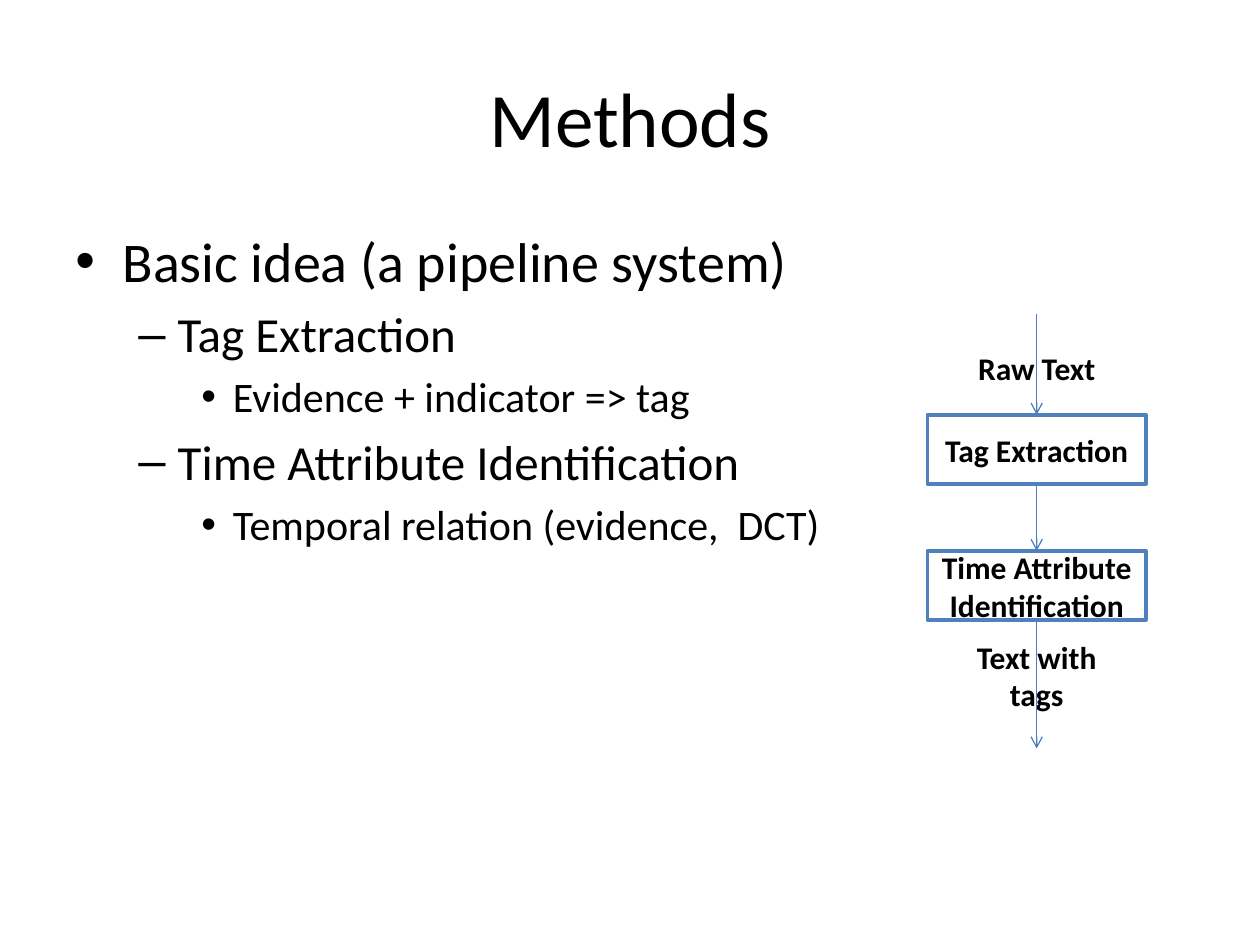
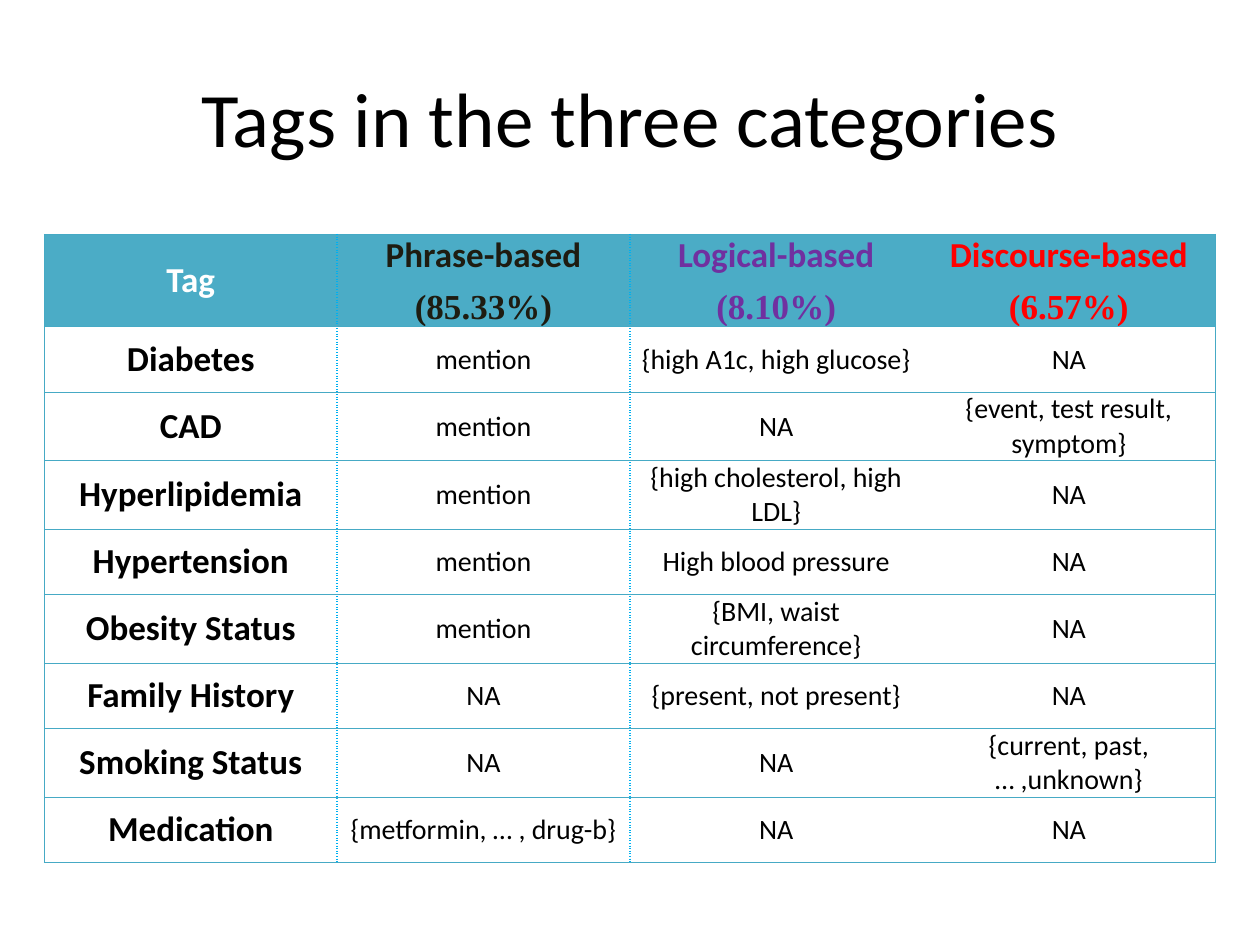
from dataclasses import dataclass
from lxml import etree
from pptx import Presentation
from pptx.dml.color import RGBColor
from pptx.enum import shapes, text
from pptx.oxml import ns
from pptx.util import Pt


@dataclass(frozen=True)
class Theme:
    font: str = "Calibri"
    serif: str = "Times New Roman"
    ink: str = "000000"
    paper: str = "FFFFFF"
    frame: str = "4F81BD"
    arrow: str = "4B7EBC"
    head: str = "4BACC6"
    rule: str = "46AAC5"
    dots: str = "00B0F0"
    phrase: str = "1E1C11"
    logic: str = "7030A0"
    speech: str = "FF0000"
    title: int = 44
    levels: tuple = (32, 28, 24)
    label: int = 18
    tag: int = 20
    cell: int = 16


T = Theme()
MID = text.PP_ALIGN.CENTER
NO_STYLE = "{2D5ABB26-0587-4C30-8999-92F81FD0307C}"

IDEAS = [
    (0, "Basic idea (a pipeline system)"),
    (1, "Tag Extraction"),
    (2, "Evidence + indicator => tag"),
    (1, "Time Attribute Identification"),
    (2, "Temporal relation (evidence,  DCT)"),
]
# Marker, text indent and hanging indent for each outline level
BULLETS = [("•", 27, 27), ("–", 58.5, 22.5), ("•", 90, 18)]

HEADS = [
    ("Tag", None, T.paper),
    ("Phrase-based", "(85.33%)", T.phrase),
    ("Logical-based", "(8.10%)", T.logic),
    ("Discourse-based", "(6.57%)", T.speech),
]
TAGS = [
    ("Diabetes", "mention", "{high A1c, high glucose}", "NA"),
    ("CAD", "mention", "NA", "{event, test result, symptom}"),
    ("Hyperlipidemia", "mention", "{high cholesterol, high LDL}", "NA"),
    ("Hypertension", "mention", "High blood pressure", "NA"),
    ("Obesity Status", "mention", "{BMI, waist circumference}", "NA"),
    ("Family History", "NA", "{present, not present}", "NA"),
    ("Smoking Status", "NA", "NA", "{current, past, … ,unknown}"),
    ("Medication", "{metformin, … , drug-b}", "NA", "NA"),
]


def rgb(color):
    return RGBColor.from_string(color)


def pts(*nums):
    return [Pt(n) for n in nums]


def node(parent, tag, **attrs):
    return etree.SubElement(parent, ns.qn(tag), attrs)


def write(para, words, size, color=T.ink, bold=False, font=T.font):
    run = para.add_run()
    run.text = words
    run.font.size, run.font.bold, run.font.name = Pt(size), bold, font
    run.font.color.rgb = rgb(color)


def lines(frame, count):
    """Return the first paragraphs of a frame, adding those it lacks."""
    while len(frame.paragraphs) < count:
        frame.add_paragraph()
    return frame.paragraphs[:count]


def titled(deck, words):
    slide = deck.slides.add_slide(deck.slide_layouts[5])
    head = slide.shapes.title
    head.left, head.top, head.width, head.height = pts(36, 21.6, 648, 90)
    frame = head.text_frame
    frame.vertical_anchor = text.MSO_ANCHOR.MIDDLE
    para = frame.paragraphs[0]
    para.alignment = MID
    write(para, words, T.title)
    return slide


def outline(slide, box):
    frame = slide.shapes.add_textbox(*pts(*box)).text_frame
    frame.word_wrap = True
    for para, (level, words) in zip(lines(frame, len(IDEAS)), IDEAS):
        size = T.levels[level]
        mark, left, hang = BULLETS[level]
        para.level = level
        para.space_before = Pt(0.2 * size)
        props = para._p.get_or_add_pPr()
        props.set("marL", str(Pt(left)))
        props.set("indent", str(-Pt(hang)))
        node(props, "a:buFont", typeface="Arial")
        node(props, "a:buChar", char=mark)
        write(para, words, size)


def step(group, words, box):
    rect = group.shapes.add_shape(shapes.MSO_SHAPE.RECTANGLE, *pts(*box))
    rect.shadow.inherit = False
    rect.fill.solid()
    rect.fill.fore_color.rgb = rgb(T.paper)
    rect.line.color.rgb = rgb(T.frame)
    rect.line.width = Pt(2)
    frame = rect.text_frame
    frame.word_wrap = True
    frame.margin_left = frame.margin_right = Pt(6)
    frame.vertical_anchor = text.MSO_ANCHOR.MIDDLE
    para = frame.paragraphs[0]
    para.alignment = MID
    write(para, words, T.label, bold=True)
    return rect


def label(group, rows, box):
    frame = group.shapes.add_textbox(*pts(*box)).text_frame
    frame.word_wrap = False
    for para, words in zip(lines(frame, len(rows)), rows):
        para.alignment = MID
        write(para, words, T.label, bold=True)


def arrow(group, x, top, end, source=None, target=None):
    link = group.shapes.add_connector(
        shapes.MSO_CONNECTOR.STRAIGHT, *pts(x, top, x, end))
    if source is not None:
        link.begin_connect(source, 2)
    if target is not None:
        link.end_connect(target, 0)
    link.line.color.rgb = rgb(T.arrow)
    link.line.width = Pt(0.75)
    node(link.line._get_or_add_ln(), "a:tailEnd", type="arrow")
    node(link._element.spPr, "a:effectLst")


def pipeline(slide, box):
    left, top, width, height = box
    group = slide.shapes.add_group_shape()
    mid, end, tall = left + width / 2, top + height, 39.6
    first, second = top + 57.6, top + 135.4
    tag = step(group, "Tag Extraction", (left, first, width, tall))
    time = step(group, "Time Attribute Identification",
                (left, second, width, tall))
    label(group, ["Raw Text"], (mid - 41, top + 16.5, 82, 28.8))
    label(group, ["Text with", "tags"], (mid - 41.75, top + 181.4, 83.5, 51))
    arrow(group, mid, top, first, target=tag)
    arrow(group, mid, first + tall, second, tag, time)
    arrow(group, mid, second + tall, end, source=time)


def border(cell, side, color=None, width=0, dash="solid"):
    """Rule one side of a cell, or clear it when no colour is given."""
    line = node(cell._tc.get_or_add_tcPr(), f"a:ln{side}", w=str(Pt(width)))
    if color is None:
        node(line, "a:noFill")
        return
    node(node(line, "a:solidFill"), "a:srgbClr", val=color)
    node(line, "a:prstDash", val=dash)


def edges(cell, col, last):
    """Rule a cell: solid outside and across, dotted beside the first columns."""
    solid, dotted, clear = (T.rule, 0.75), (T.dots, 1, "sysDot"), ()
    walls = [solid, dotted, dotted] + [clear] * (last - 3) + [clear, solid]
    sides = {"L": walls[col], "R": walls[col + 1], "T": solid, "B": solid}
    for side, style in sides.items():
        border(cell, side, *style)


def fill_cell(cell, parts, size, color, bold):
    """Centre the (words, font) parts, one to a paragraph."""
    cell.margin_left = cell.margin_right = Pt(5)
    cell.margin_top = cell.margin_bottom = 0
    cell.vertical_anchor = text.MSO_ANCHOR.MIDDLE
    for para, (words, font) in zip(lines(cell.text_frame, len(parts)), parts):
        para.alignment = MID
        para.space_after = Pt(6)
        write(para, words, size, color, bold, font)


def tag_table(slide, box):
    rows, cols = len(TAGS) + 1, len(HEADS)
    table = slide.shapes.add_table(rows, cols, *pts(*box)).table
    table._tbl.tblPr.find(ns.qn("a:tableStyleId")).text = NO_STYLE
    table.first_row = table.horz_banding = False
    for col, (name, share, color) in enumerate(HEADS):
        cell = table.cell(0, col)
        parts = [(name, T.font)] + ([(share, T.serif)] if share else [])
        fill_cell(cell, parts, T.tag, color, True)
        edges(cell, col, cols - 1)
        cell.fill.solid()
        cell.fill.fore_color.rgb = rgb(T.head)
    for row, entry in enumerate(TAGS, 1):
        for col, words in enumerate(entry):
            cell = table.cell(row, col)
            size = T.cell if col else T.tag
            fill_cell(cell, [(words, T.font)], size, T.ink, not col)
            edges(cell, col, cols - 1)
            cell.fill.background()


def main():
    deck = Presentation()
    deck.slide_width, deck.slide_height = pts(720, 540)
    methods = titled(deck, "Methods")
    outline(methods, (36, 126, 648, 356.4))
    pipeline(methods, (530, 179.4, 124.8, 248.3))
    tags = titled(deck, "Tags in the three categories")
    tag_table(tags, (25.4, 134, 669, 337))
    deck.save("out.pptx")


if __name__ == "__main__":
    main()
